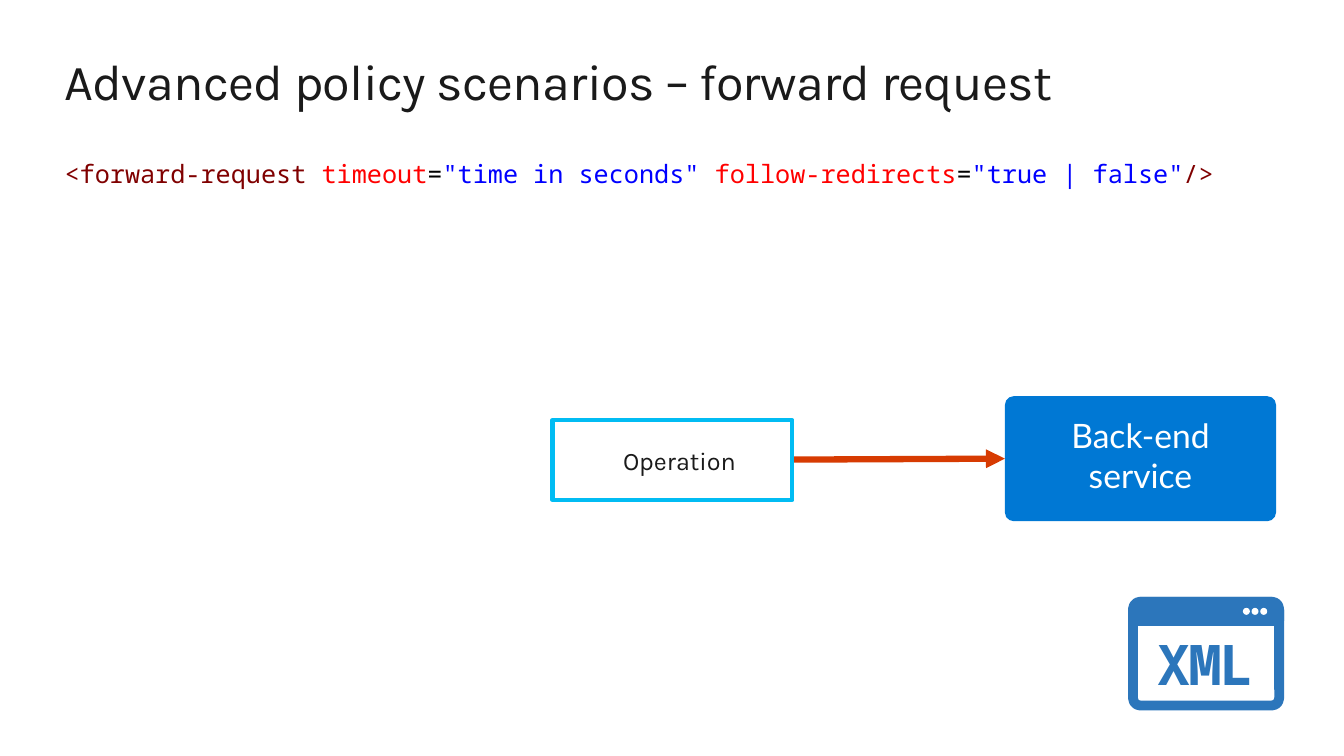
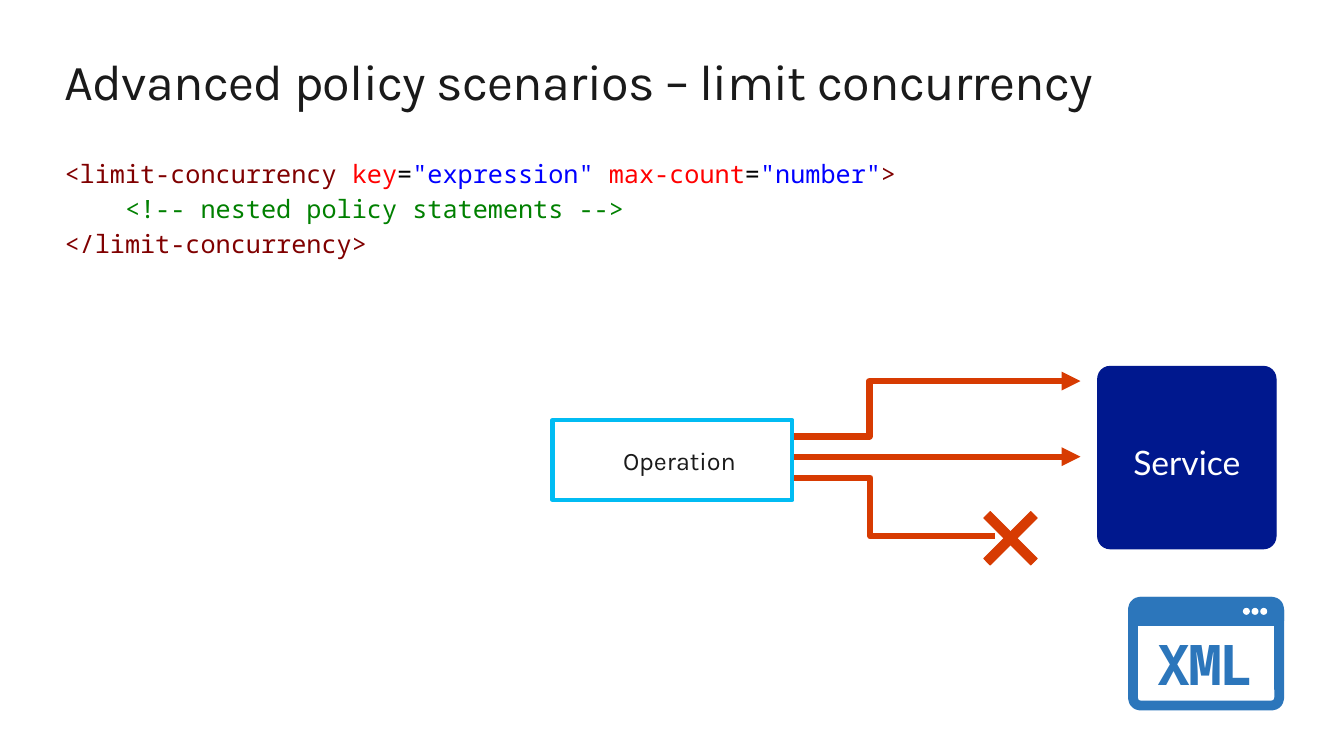
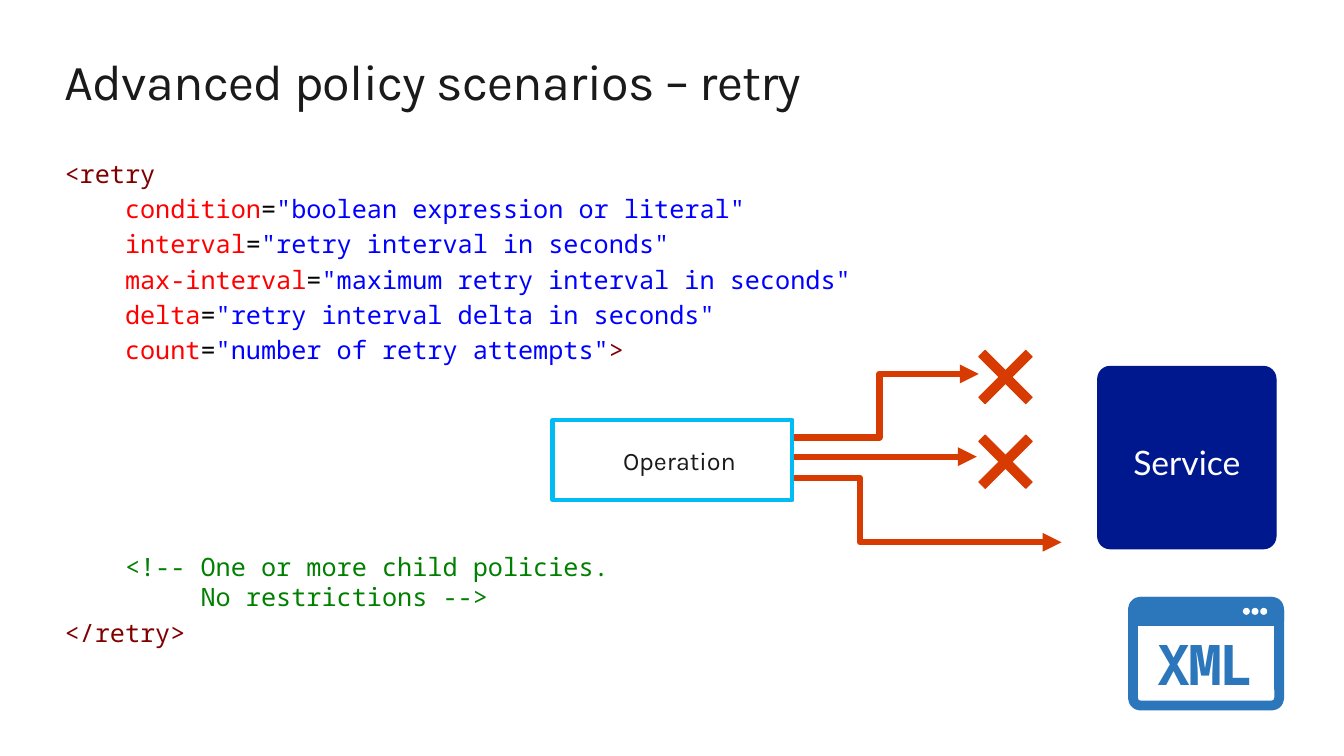
from lxml import etree
from pptx import Presentation
from pptx.dml.color import RGBColor
from pptx.enum.shapes import MSO_CONNECTOR, MSO_SHAPE
from pptx.enum.text import MSO_ANCHOR, PP_ALIGN
from pptx.oxml.ns import qn
from pptx.util import Pt

STRAIGHT, ELBOW = MSO_CONNECTOR.STRAIGHT, MSO_CONNECTOR.ELBOW
RECT, ROUNDED = MSO_SHAPE.RECTANGLE, MSO_SHAPE.ROUNDED_RECTANGLE
TOP_ROUNDED, OVAL = MSO_SHAPE.ROUND_2_SAME_RECTANGLE, MSO_SHAPE.OVAL
TOP, MIDDLE = MSO_ANCHOR.TOP, MSO_ANCHOR.MIDDLE
LEFT, CENTER = PP_ALIGN.LEFT, PP_ALIGN.CENTER

# Colours and fonts
INK, WHITE, CYAN, ORANGE = "1A1A1A", "FFFFFF", "01BCF3", "D73B02"
BLUE, NAVY, ICON_BLUE = "0078D4", "00188E", "2C76BB"
TAG, NAME, SIGN, VALUE, COMMENT = "800000", "FF0000", "000000", "0000FF", "008000"
HEADING_FONT, LABEL_FONT, CODE_FONT = "Karla", "Lato", "Noto Sans Mono"

# Shared measures, in points
TITLE_AREA = (46.1, 36, 867.6, 43.9)
CODE_AREA = (46.1, 113, 867.6, 150.5)
CODE_LINE, CODE_GAP, CODE_CHAR = 21.6, 3.6, 10.8
ICON_AREA = (809.3, 429.8, 104.4, 74.2)
OPERATION_AREA = (394.6, 300.2, 171.4, 56.9)
BACKEND_AREA = (717.8, 283, 193.7, 89.3)
SERVICE_AREA = (784.1, 261.7, 127.4, 130.3)
OPERATION_PADDING = (14.4, 11.5, 14.4, 11.5)
CROSS_BAR = (6.5, 47.5)
START_X = 470.2


def attribute(name, value):
    """Return the coloured pieces of one name="value" pair."""
    return [(name, NAME), ("=", SIGN), (f'"{value}"', VALUE)]


# Code lines: (indent in characters, space before, coloured pieces)
# Arrows: (start, end, bend as a share of the width or None, has a head)
SLIDES = [
    {
        "title": "Advanced policy scenarios – forward request",
        "code": [
            (0, CODE_GAP, [("<forward-request ", TAG), *attribute("timeout", "time in seconds"),
                           (" ", VALUE), *attribute("follow-redirects", "true | false"),
                           ("/>", TAG)]),
        ],
        "target": {"text": "Back-end service", "area": BACKEND_AREA, "fill": BLUE,
                   "padding": OPERATION_PADDING},
        "arrows": [((565.9, 328.3), (717.8, 327.6), None, True)],
        "crosses": [],
    },
    {
        "title": "Advanced policy scenarios – limit concurrency",
        "code": [
            (0, CODE_GAP, [("<limit-concurrency ", TAG), *attribute("key", "expression"),
                           (" ", VALUE), *attribute("max-count", "number"), (">", TAG)]),
            (4, CODE_GAP, [("<!-- nested policy statements -->", COMMENT)]),
            (0, CODE_GAP, [("</limit-concurrency>", TAG)]),
        ],
        "target": {"text": "Service", "area": SERVICE_AREA, "fill": NAVY,
                   "line": NAVY, "padding": (0, 51.1, 0, 0)},
        "arrows": [
            ((START_X, 311.8), (771.8, 272.2), 0.5, True),
            ((START_X, 341.3), (710.6, 383), 0.63, False),
            ((START_X, 326.2), (771.8, 326.2), None, True),
        ],
        "crosses": [(721.8, 384.5)],
    },
    {
        "title": "Advanced policy scenarios – retry",
        "code": [
            (0, CODE_GAP, [("<retry", TAG)]),
            (4, CODE_GAP, attribute("condition", "boolean expression or literal")),
            (4, CODE_GAP, attribute("interval", "retry interval in seconds")),
            (4, CODE_GAP, attribute("max-interval", "maximum retry interval in seconds")),
            (4, CODE_GAP, attribute("delta", "retry interval delta in seconds")),
            (4, CODE_GAP, [*attribute("count", "number of retry attempts"), (">", TAG)]),
            (4, CODE_GAP + 6 * CODE_LINE, [("<!-- One or more child policies.", COMMENT)]),
            (9, 0, [("No restrictions -->", COMMENT)]),
            (0, CODE_GAP, [("</retry>", TAG)]),
        ],
        "target": {"text": "Service", "area": SERVICE_AREA, "fill": NAVY,
                   "line": NAVY, "padding": (0, 51.1, 0, 0)},
        "arrows": [
            ((START_X, 312.5), (699.1, 267.1), 0.69, True),
            ((START_X, 341.3), (758.2, 387.4), 0.5, True),
            ((START_X, 326.2), (697.7, 326.2), None, True),
        ],
        "crosses": [(718.2, 329.8), (718.2, 269.3)],
    },
]


def color(value):
    """Turn a hex string into a colour."""
    return RGBColor.from_string(value)


def points(values):
    """Turn plain numbers into lengths."""
    return [Pt(value) for value in values]


def set_frame(frame, padding=(0, 0, 0, 0), anchor=TOP, wrap=True):
    """Set padding, anchor and wrapping of a text frame."""
    (frame.margin_left, frame.margin_top,
     frame.margin_right, frame.margin_bottom) = points(padding)
    frame.vertical_anchor = anchor
    frame.word_wrap = wrap


def add_span(para, text, *, size, font, ink, bold=False, spacing=0):
    """Add formatted text to a paragraph."""
    span = para.add_run()
    span.text = text
    span.font.size = Pt(size)
    span.font.name = font
    span.font.bold = bold
    span.font.color.rgb = color(ink)
    if spacing:
        span.font._element.set("spc", str(int(spacing * 100)))


def write(shape, text, *, align=LEFT, indent=0, padding=(0, 0, 0, 0),
          anchor=TOP, wrap=True, **style):
    """Write one paragraph into a shape or text box."""
    set_frame(shape.text_frame, padding, anchor, wrap)
    para = shape.text_frame.paragraphs[0]
    para.alignment = align
    set_indent(para, indent)
    add_span(para, text, **style)


def set_indent(para, indent):
    """Indent a whole paragraph by a number of points."""
    if indent:
        properties = para._p.get_or_add_pPr()
        properties.set("marL", str(Pt(indent)))
        properties.set("indent", "0")


def add_box(page, kind, area, fill, line=None, weight=0.75, corners=(), turn=0):
    """Add a preset shape without a shadow."""
    box = page.shapes.add_shape(kind, *points(area))
    box.shadow.inherit = False
    box.rotation = turn
    box.fill.solid()
    box.fill.fore_color.rgb = color(fill)
    if line:
        box.line.color.rgb = color(line)
        box.line.width = Pt(weight)
    else:
        box.line.fill.background()
    for index, corner in enumerate(corners):
        box.adjustments[index] = corner
    return box


def add_arrow(page, start, end, bend, has_head):
    """Add a straight or bent orange connector."""
    kind = STRAIGHT if bend is None else ELBOW
    arrow = page.shapes.add_connector(kind, *points(start + end))
    arrow.line.color.rgb = color(ORANGE)
    arrow.line.width = Pt(4.5)
    properties = arrow._element.spPr
    etree.SubElement(properties, qn("a:effectLst"))
    if has_head:
        etree.SubElement(properties.find(qn("a:ln")), qn("a:tailEnd"), type="triangle")
    if bend is not None:
        guides = properties.find(qn("a:prstGeom")).find(qn("a:avLst"))
        etree.SubElement(guides, qn("a:gd"), name="adj1", fmla=f"val {round(bend * 100000)}")


def add_cross(page, center_x, center_y):
    """Add two crossed bars around a centre."""
    width, height = CROSS_BAR
    area = (center_x - width / 2, center_y - height / 2, width, height)
    for turn in (315, 45):
        add_box(page, RECT, area, ORANGE, ORANGE, turn=turn)


def add_icon(page):
    """Add the XML window in the lower right corner."""
    left, top, width, height = ICON_AREA
    bar = 13.7
    add_box(page, ROUNDED, ICON_AREA, WHITE, ICON_BLUE, 7, [0.07])
    add_box(page, TOP_ROUNDED, (left, top, width, bar), ICON_BLUE, ICON_BLUE, 7, [0.45, 0])
    for index in range(3):
        add_box(page, OVAL, (left + 78.5 + 6.2 * index, top + 4.4, 5, 5), WHITE)
    label = page.shapes.add_textbox(*points((left, top + bar, width - 1.4, height - bar)))
    write(label, "XML", align=CENTER, anchor=MIDDLE, wrap=False,
          size=40, font=CODE_FONT, ink=ICON_BLUE, bold=True, spacing=-1.5)


def add_code(page, lines):
    """Add the coloured code lines."""
    frame = page.shapes.add_textbox(*points(CODE_AREA)).text_frame
    set_frame(frame)
    for index, (indent, gap, pieces) in enumerate(lines):
        para = frame.add_paragraph() if index else frame.paragraphs[0]
        para.line_spacing = Pt(CODE_LINE)
        para.space_before = Pt(gap)
        set_indent(para, indent * CODE_CHAR)
        for text, ink in pieces:
            add_span(para, text, size=18, font=CODE_FONT, ink=ink)


def add_target(page, text, area, fill, padding, line=None):
    """Add the box that receives the requests."""
    box = add_box(page, ROUNDED, area, fill, line, corners=[0.07])
    write(box, text, align=CENTER, padding=padding, size=24, font=LABEL_FONT, ink=WHITE)


def add_page(deck, content):
    """Build one slide from its content."""
    page = deck.slides.add_slide(deck.slide_layouts[6])
    add_icon(page)
    title = page.shapes.add_textbox(*points(TITLE_AREA))
    write(title, content["title"], size=36, font=HEADING_FONT, ink=INK, spacing=-0.5)
    add_code(page, content["code"])
    add_target(page, **content["target"])
    for arrow in content["arrows"]:
        add_arrow(page, *arrow)
    for center in content["crosses"]:
        add_cross(page, *center)
    operation = add_box(page, RECT, OPERATION_AREA, WHITE, CYAN, 3)
    write(operation, "Operation", indent=36, padding=OPERATION_PADDING, anchor=MIDDLE,
          size=18, font=HEADING_FONT, ink=INK)


deck = Presentation()
deck.slide_width, deck.slide_height = Pt(960), Pt(540)
for content in SLIDES:
    add_page(deck, content)
deck.save("out.pptx")
